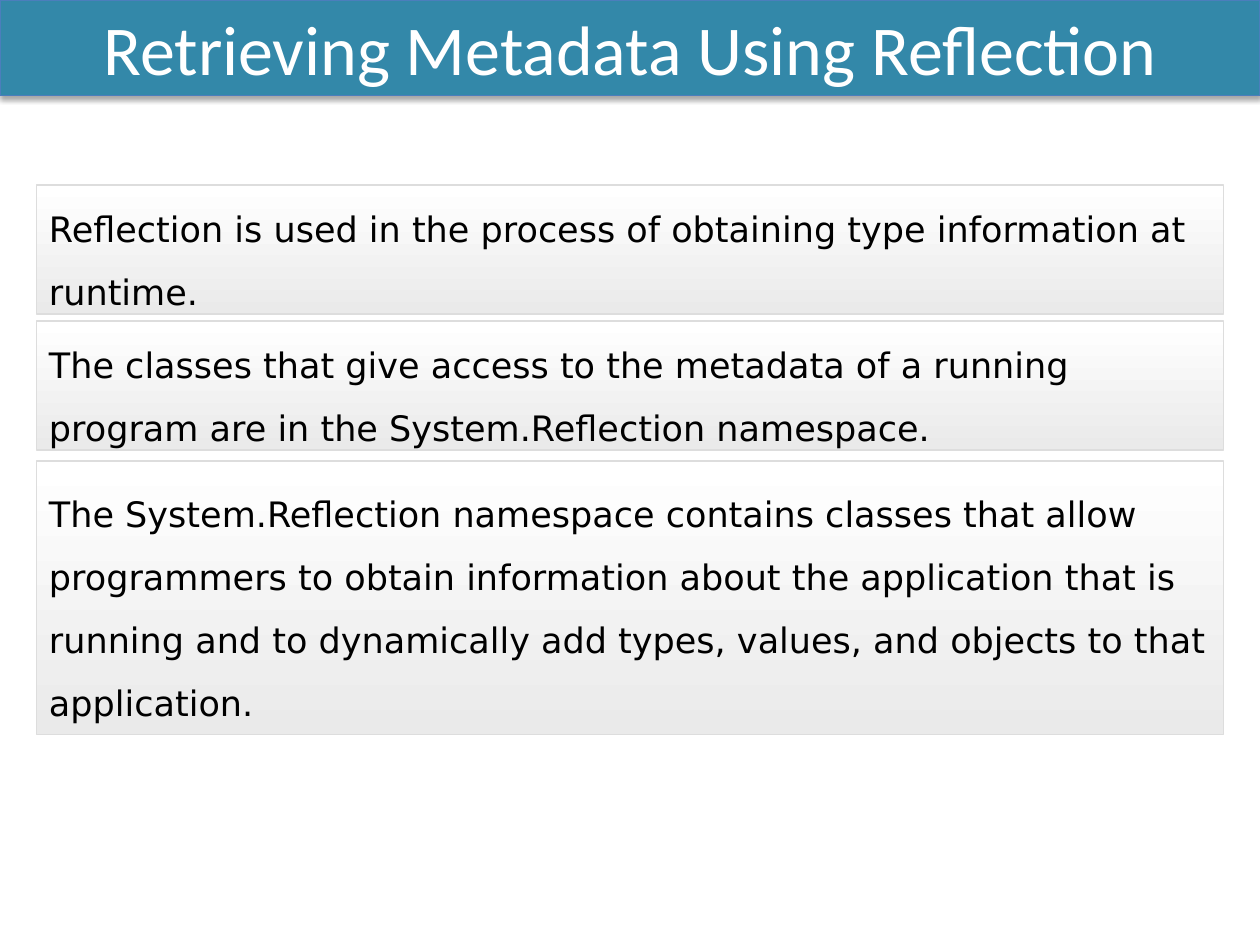
from dataclasses import dataclass

from lxml import etree
from pptx import Presentation
from pptx.dml.color import RGBColor
from pptx.enum.shapes import MSO_SHAPE
from pptx.enum.text import MSO_ANCHOR, PP_ALIGN
from pptx.oxml.ns import qn
from pptx.util import Inches, Pt

RECTANGLE = MSO_SHAPE.RECTANGLE
MIDDLE = MSO_ANCHOR.MIDDLE
CENTER, LEFT = PP_ALIGN.CENTER, PP_ALIGN.LEFT


@dataclass(frozen=True)
class Theme:
    banner_fill: str = "3388A9"
    banner_line: str = "4B7EBC"
    banner_text: str = "FFFFFF"
    panel_top: str = "FFFFFF"
    panel_bottom: str = "EAEAEA"
    panel_line: str = "DDDDDD"
    panel_text: str = "000000"
    shadow: str = "000000"
    title_font: str = "Calibri"
    body_font: str = "DejaVu Sans"
    title_size: int = 40
    body_size: int = 20


THEME = Theme()
TITLE = "Retrieving Metadata Using Reflection"
PANEL_LEFT, PANEL_WIDTH = 0.29, 9.42
# top, height and wording of each panel
PANELS = [
    (1.47, 1.02, "Reflection is used in the process of obtaining type "
     "information at runtime."),
    (2.55, 1.02, "The classes that give access to the metadata of a running "
     "program are in the System.Reflection namespace."),
    (3.66, 2.17, "The System.Reflection namespace contains classes that allow "
     "programmers to obtain information about the application that is running "
     "and to dynamically add types, values, and objects to that application."),
]


def add_box(page, box, line_color, line_width):
    shape = page.shapes.add_shape(RECTANGLE, *(Inches(length) for length in box))
    shape.shadow.inherit = False
    shape.line.color.rgb = RGBColor.from_string(line_color)
    shape.line.width = Pt(line_width)
    return shape


def write_text(shape, text, color, para_format, font_format):
    frame = shape.text_frame
    frame.word_wrap = True
    frame.vertical_anchor = MIDDLE
    para = frame.paragraphs[0]
    for name, value in para_format.items():
        setattr(para, name, value)
    span = para.add_run()
    span.text = text
    for name, value in font_format.items():
        setattr(span.font, name, value)
    span.font.color.rgb = RGBColor.from_string(color)


def cast_shadow(shape, color, opacity, blur, distance):
    """Add a soft shadow straight below the shape."""
    effects = shape._element.spPr.find(qn("a:effectLst"))
    shadow = etree.SubElement(
        effects, qn("a:outerShdw"), blurRad=str(Pt(blur)),
        dist=str(Pt(distance)), dir="5400000", rotWithShape="0")
    tone = etree.SubElement(shadow, qn("a:srgbClr"), val=color)
    etree.SubElement(tone, qn("a:alpha"), val=str(opacity * 1000))


def add_banner(page, box, title):
    banner = add_box(page, box, THEME.banner_line, 0.75)
    banner.fill.solid()
    banner.fill.fore_color.rgb = RGBColor.from_string(THEME.banner_fill)
    cast_shadow(banner, THEME.shadow, opacity=35, blur=3.1, distance=1.8)
    write_text(banner, title, THEME.banner_text, {"alignment": CENTER},
               {"name": THEME.title_font, "size": Pt(THEME.title_size)})


def add_panel(page, box, text):
    panel = add_box(page, box, THEME.panel_line, 1)
    panel.fill.gradient()
    panel.fill.gradient_angle = 270
    colors = (THEME.panel_top, THEME.panel_bottom)
    for stop, color in zip(panel.fill.gradient_stops, colors):
        stop.color.rgb = RGBColor.from_string(color)
    write_text(panel, text, THEME.panel_text,
               {"alignment": LEFT, "line_spacing": 1.5},
               {"name": THEME.body_font, "size": Pt(THEME.body_size)})


def main():
    deck = Presentation()
    deck.slide_width, deck.slide_height = Inches(10), Inches(7.5)
    page = deck.slides.add_slide(deck.slide_layouts[6])
    add_banner(page, (0, 0, 10, 0.76), TITLE)
    for top, height, text in PANELS:
        add_panel(page, (PANEL_LEFT, top, PANEL_WIDTH, height), text)
    deck.save("out.pptx")


if __name__ == "__main__":
    main()
